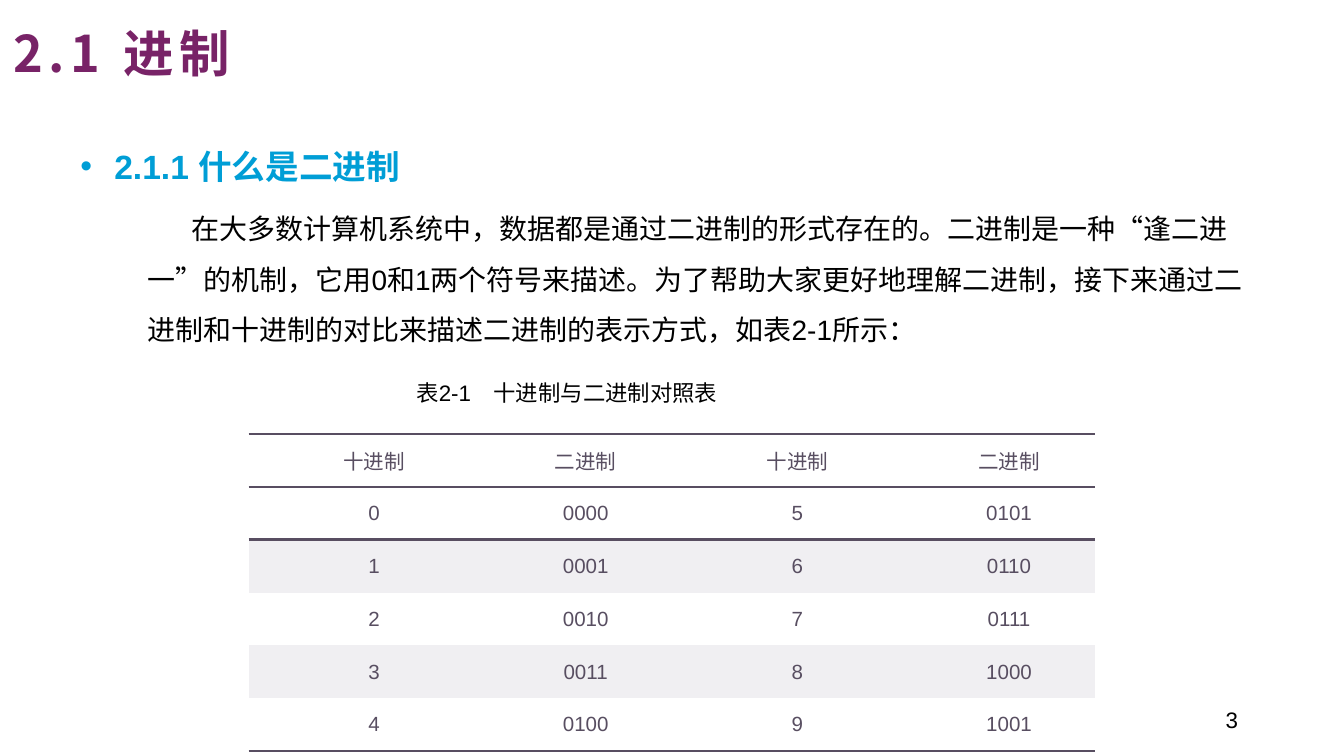
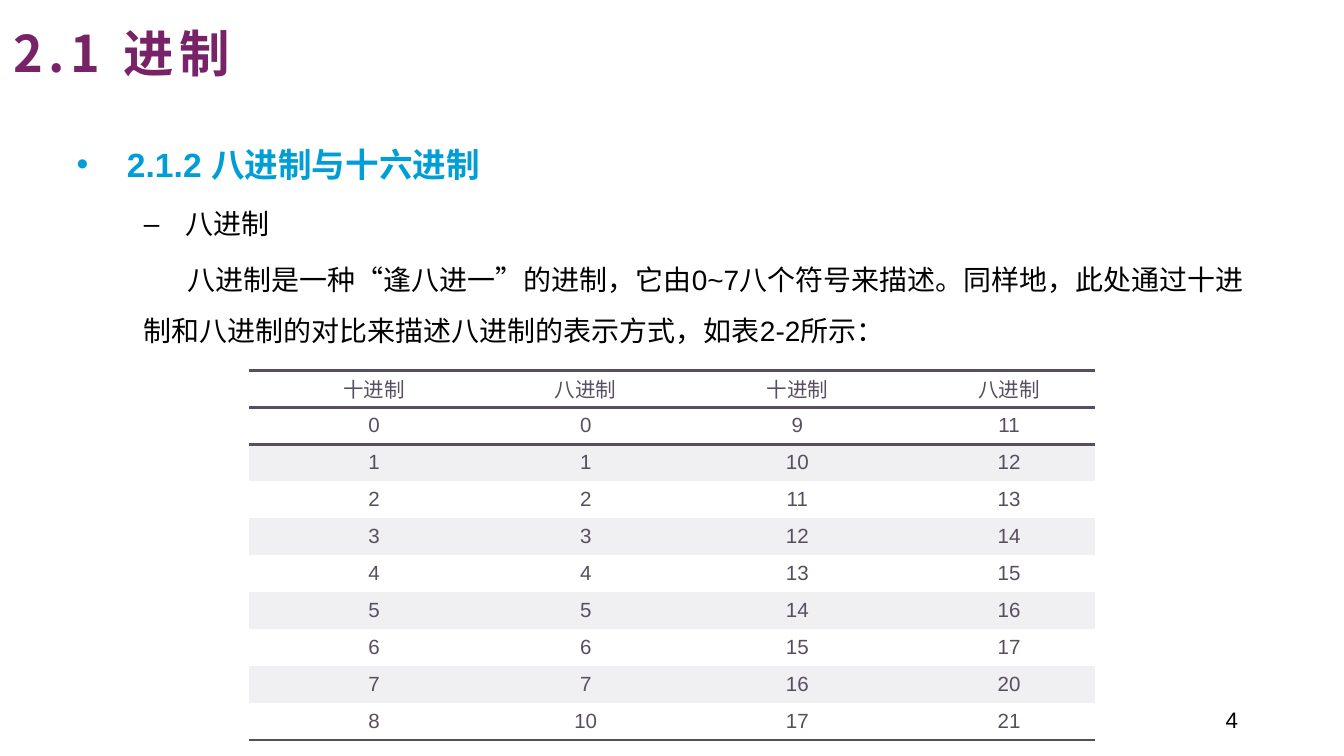
import dataclasses

import pptx
import pptx.dml.color
import pptx.enum.text
import pptx.oxml
import pptx.oxml.ns
import pptx.util

Cm = pptx.util.Cm
Pt = pptx.util.Pt


@dataclasses.dataclass(frozen=True)
class Theme:
    """Colours, fonts and type sizes of the deck."""
    title: str = "782367"
    heading: str = "009ED6"
    text: str = "000000"
    table: str = "584E61"
    band: str = "F0EFF2"
    paper: str = "FFFFFF"
    latin: str = "Arial"
    chinese: str = "Noto Sans CJK SC"
    title_size: int = 27
    heading_size: int = 18
    text_size: int = 15
    small_size: int = 12
    table_size: int = 11


THEME = Theme()
NO_GRID_STYLE = "{2D5ABB26-0587-4C30-8999-92F81FD0307C}"


def rgb(colour):
    """Turn a hex string into a colour."""
    return pptx.dml.color.RGBColor.from_string(colour)


def add_xml(parent, tag, **attributes):
    """Append a DrawingML element and return it."""
    child = pptx.oxml.parse_xml(f"<a:{tag} {pptx.oxml.ns.nsdecls('a')}/>")
    for key, value in attributes.items():
        child.set(key, str(value))
    parent.append(child)
    return child


def style_runs(paragraph, size, colour, bold=False, latin=THEME.latin, spacing=None):
    """Format every run of a paragraph."""
    for run in paragraph.runs:
        run.font.size = Pt(size)
        run.font.bold = bold
        run.font.color.rgb = rgb(colour)
        run.font.name = latin
        properties = run.font._element
        add_xml(properties, "ea", typeface=THEME.chinese)
        if spacing:
            properties.set("spc", str(spacing * 100))


def place(shape, left, top, width, height):
    """Set the position and size of a shape in centimetres."""
    shape.left, shape.top = Cm(left), Cm(top)
    shape.width, shape.height = Cm(width), Cm(height)


def set_title(slide, wording):
    """Fill the title placeholder."""
    title = slide.shapes.title
    place(title, 0, 0.23, 16.18, 1.5)
    frame = title.text_frame
    frame.text = wording
    frame.auto_size = pptx.enum.text.MSO_AUTO_SIZE.NONE
    frame.vertical_anchor = pptx.enum.text.MSO_ANCHOR.MIDDLE
    paragraph = frame.paragraphs[0]
    paragraph.alignment = pptx.enum.text.PP_ALIGN.LEFT
    style_runs(paragraph, THEME.title_size, THEME.title, True, THEME.chinese, 3)


def open_body(slide, side_inset, top_inset):
    """Place the body placeholder and return its text frame."""
    body = slide.placeholders[1]
    place(body, 1.27, 2.24, 22.86, 10.54)
    frame = body.text_frame
    frame.auto_size = pptx.enum.text.MSO_AUTO_SIZE.NONE
    frame.vertical_anchor = pptx.enum.text.MSO_ANCHOR.TOP
    frame.margin_left = frame.margin_right = Cm(side_inset)
    frame.margin_top = frame.margin_bottom = Cm(top_inset)
    return frame


def write_paragraph(paragraph, wording, size, colour=THEME.text, bold=False, level=1,
                    margin=1.27, indent=0.0, bullet=None, before=0, leading=27):
    """Write one body paragraph with its indents, bullet and spacing."""
    paragraph.text = wording
    paragraph.level = level
    properties = paragraph._p.get_or_add_pPr()
    properties.set("marL", str(Cm(margin)))
    properties.set("indent", str(Cm(indent)))
    if bullet:
        add_xml(properties, "buChar", char=bullet)
    else:
        add_xml(properties, "buNone")
    paragraph.line_spacing = Pt(leading)
    paragraph.space_before = Pt(before)
    paragraph.space_after = Pt(0)
    style_runs(paragraph, size, colour, bold)


def write_heading(frame, wording, hang):
    """Write the bulleted section heading as the first paragraph."""
    write_paragraph(frame.paragraphs[0], wording, THEME.heading_size, THEME.heading, True,
                    level=0, margin=hang, indent=-hang, bullet="•", leading=32.4)


def rule_cell(cell, *sides):
    """Draw a rule on the given sides of a cell."""
    for side in sides:
        line = add_xml(cell._tc.get_or_add_tcPr(), side, w=Pt(1.5))
        add_xml(add_xml(line, "solidFill"), "srgbClr", val=THEME.table)


def fill_cell(cell, wording, colour):
    """Write and format one table cell."""
    cell.text = wording
    cell.vertical_anchor = pptx.enum.text.MSO_ANCHOR.MIDDLE
    cell.margin_left = cell.margin_right = Cm(0.15)
    cell.margin_top = cell.margin_bottom = 0
    cell.fill.solid()
    cell.fill.fore_color.rgb = rgb(colour)
    paragraph = cell.text_frame.paragraphs[0]
    paragraph.alignment = pptx.enum.text.PP_ALIGN.CENTER
    paragraph._p.get_or_add_pPr().set("indent", str(Cm(0.74)))
    style_runs(paragraph, THEME.table_size, THEME.table)


def add_numeral_table(slide, base_name, number_format, count, top, row_height):
    """Add a table that sets decimal numbers beside another base."""
    rows = [["十进制", base_name] * 2]
    for low in range(count):
        high = low + count
        rows.append([str(low), format(low, number_format),
                     str(high), format(high, number_format)])
    table = slide.shapes.add_table(len(rows), 4, Cm(4.7), Cm(top), Cm(16),
                                   Cm(row_height * len(rows))).table
    table.first_row = table.horz_banding = False
    table._tbl.tblPr.find(pptx.oxml.ns.qn("a:tableStyleId")).text = NO_GRID_STYLE
    rules = {0: ("lnT", "lnB"), 1: ("lnT",), count: ("lnB",)}
    for row, wordings in enumerate(rows):
        table.rows[row].height = Cm(row_height)
        banded = row > 0 and row % 2 == 0
        for column, wording in enumerate(wordings):
            cell = table.cell(row, column)
            rule_cell(cell, *rules.get(row, ()))
            fill_cell(cell, wording, THEME.band if banded else THEME.paper)


def add_page_number(slide, number):
    """Add the page number at the lower right."""
    box = slide.shapes.add_textbox(Cm(17.93), Cm(13.23), Cm(5.72), Cm(0.76))
    box.text_frame.word_wrap = True
    paragraph = box.text_frame.paragraphs[0]
    paragraph.text = str(number)
    paragraph.alignment = pptx.enum.text.PP_ALIGN.RIGHT
    style_runs(paragraph, THEME.small_size, THEME.text)


def start_slide(deck, number):
    """Add a slide with the shared title and page number."""
    slide = deck.slides.add_slide(deck.slide_layouts[1])
    set_title(slide, "2.1 进制")
    add_page_number(slide, number)
    return slide


def build_binary(deck):
    """Build the slide on binary numbers."""
    slide = start_slide(deck, 3)
    body = open_body(slide, 0.25, 0.13)
    write_heading(body, "2.1.1 什么是二进制", 0.64)
    write_paragraph(
        body.add_paragraph(),
        "在大多数计算机系统中，数据都是通过二进制的形式存在的。二进制是一种“逢二进一”的机制，"
        "它用0和1两个符号来描述。为了帮助大家更好地理解二进制，"
        "接下来通过二进制和十进制的对比来描述二进制的表示方式，如表2-1所示：",
        THEME.text_size, indent=0.83, before=5)
    write_paragraph(body.add_paragraph(), "表2-1　十进制与二进制对照表",
                    THEME.small_size, margin=6.35, before=5)
    add_numeral_table(slide, "二进制", "04b", 5, top=8.2, row_height=1)


def build_octal(deck):
    """Build the slide on octal numbers."""
    slide = start_slide(deck, 4)
    body = open_body(slide, 0.18, 0.1)
    write_heading(body, "2.1.2 八进制与十六进制", 0.95)
    write_paragraph(body.add_paragraph(), "八进制", THEME.text_size,
                    margin=2.06, indent=-0.79, bullet="–", before=3)
    write_paragraph(
        body.add_paragraph(),
        "八进制是一种“逢八进一”的进制，它由0~7八个符号来描述。"
        "同样地，此处通过十进制和八进制的对比来描述八进制的表示方式，如表2-2所示：",
        THEME.text_size, indent=0.83, before=3)
    add_numeral_table(slide, "八进制", "o", 9, top=7, row_height=0.7)


def main():
    """Build and save the deck."""
    deck = pptx.Presentation()
    deck.slide_width, deck.slide_height = Cm(25.4), Cm(14.29)
    build_binary(deck)
    build_octal(deck)
    deck.save("out.pptx")


if __name__ == "__main__":
    main()
